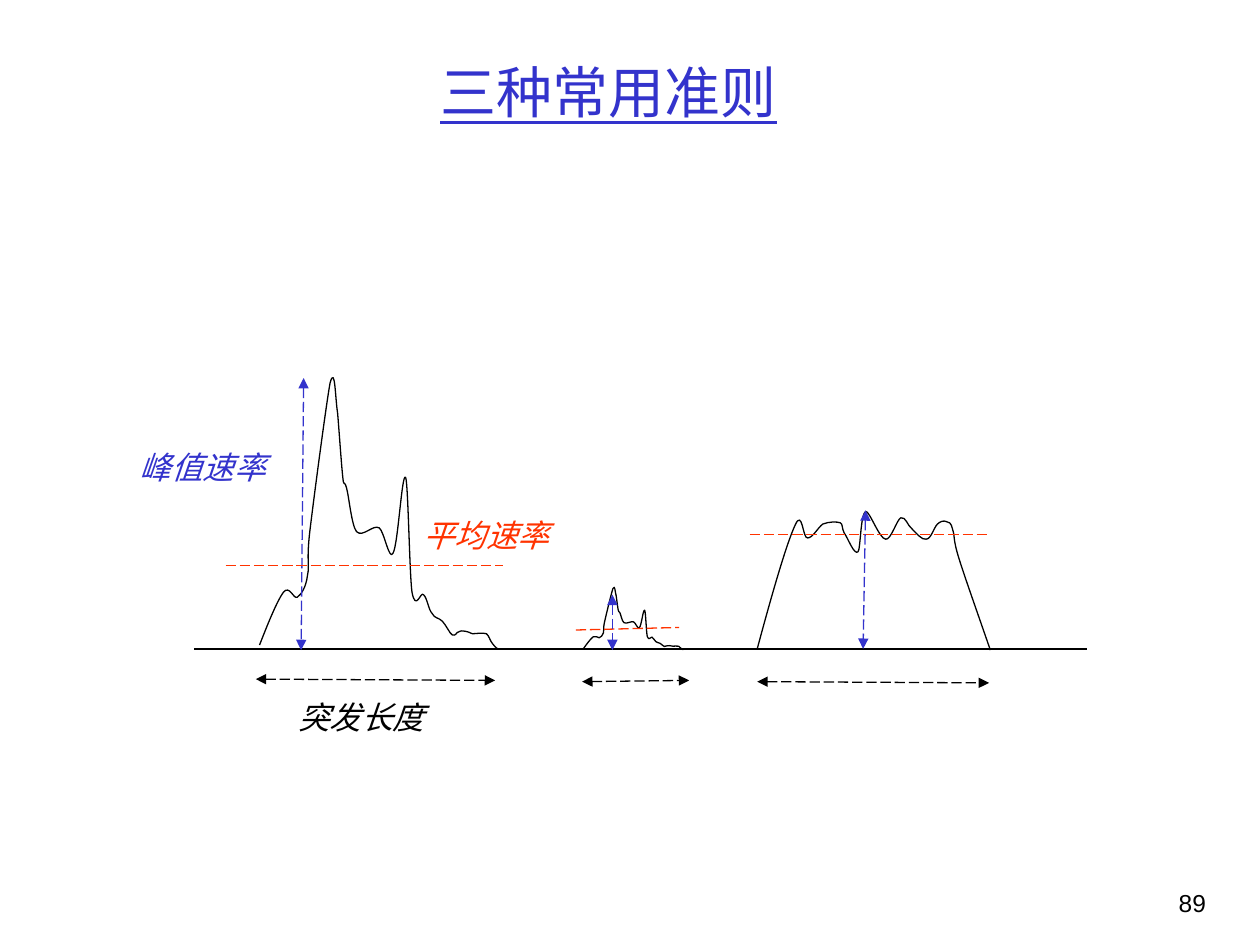
from dataclasses import dataclass

from lxml import etree
from pptx import Presentation
from pptx.dml.color import RGBColor
from pptx.enum.dml import MSO_LINE
from pptx.enum.shapes import MSO_CONNECTOR
from pptx.enum.text import MSO_ANCHOR, MSO_AUTO_SIZE, PP_ALIGN
from pptx.oxml.ns import qn
from pptx.util import Inches, Pt

LONG_DASH = MSO_LINE.LONG_DASH
STRAIGHT = MSO_CONNECTOR.STRAIGHT
MIDDLE = MSO_ANCHOR.MIDDLE
NO_FIT = MSO_AUTO_SIZE.NONE
GROW = MSO_AUTO_SIZE.SHAPE_TO_FIT_TEXT
LEFT, CENTER, RIGHT = PP_ALIGN.LEFT, PP_ALIGN.CENTER, PP_ALIGN.RIGHT
TITLE_ONLY = 5


@dataclass(frozen=True)
class Theme:
    ink: str = "000000"
    peak: str = "3333CC"
    average: str = "FF3300"
    title_font: str = "Times New Roman"
    body_font: str = "Arial"
    title_size: int = 32
    label_size: int = 18
    number_size: int = 14
    line_width: float = 0.75


class SlideBuilder:
    def __init__(self, slide, theme):
        self.slide = slide
        self.theme = theme

    def add_text(self, frame, text, size, color, font, align):
        paragraph = frame.paragraphs[0]
        paragraph.alignment = align
        run = paragraph.add_run()
        run.text = text
        run.font.name = font
        run.font.size = Pt(size)
        run.font.color.rgb = RGBColor.from_string(color)
        return run

    def title(self, text, left, top, width, height):
        holder = self.slide.shapes.title
        holder.left, holder.top = Inches(left), Inches(top)
        holder.width, holder.height = Inches(width), Inches(height)
        frame = holder.text_frame
        frame.auto_size = NO_FIT
        frame.vertical_anchor = MIDDLE
        run = self.add_text(frame, text, self.theme.title_size, self.theme.peak,
                            self.theme.title_font, CENTER)
        run.font.underline = True

    def label(self, text, left, top, color):
        box = self.slide.shapes.add_textbox(
            Inches(left), Inches(top), Inches(1.2), Inches(0.4))
        box.text_frame.word_wrap = False
        box.text_frame.auto_size = GROW
        run = self.add_text(box.text_frame, text, self.theme.label_size, color,
                            self.theme.body_font, LEFT)
        run.font.italic = True
        return box

    def page_number(self, text, left, top, width, height):
        box = self.slide.shapes.add_textbox(
            Inches(left), Inches(top), Inches(width), Inches(height))
        box.text_frame.word_wrap = True
        self.add_text(box.text_frame, text, self.theme.number_size,
                      self.theme.ink, self.theme.body_font, RIGHT)

    def stroke(self, line, color):
        line.color.rgb = RGBColor.from_string(color)
        line.width = Pt(self.theme.line_width)

    def line(self, start, end, color, dashed=True, arrows=False):
        connector = self.slide.shapes.add_connector(
            STRAIGHT, *map(Inches, start + end))
        self.stroke(connector.line, color)
        if dashed:
            connector.line.dash_style = LONG_DASH
        properties = connector._element.spPr
        if arrows:
            outline = properties.find(qn("a:ln"))
            for tag in ("a:headEnd", "a:tailEnd"):
                etree.SubElement(outline, qn(tag), type="triangle")
        etree.SubElement(properties, qn("a:effectLst"))
        return connector

    def curve(self, points):
        start, *rest = [(Inches(x), Inches(y)) for x, y in points]
        builder = self.slide.shapes.build_freeform(*start, scale=1.0)
        builder.add_line_segments(rest, close=False)
        burst = builder.convert_to_shape()
        segments = list(burst._element.iter(qn("a:lnTo")))
        for first in range(0, len(segments), 3):
            bezier = etree.Element(qn("a:cubicBezTo"))
            segments[first].addprevious(bezier)
            for segment in segments[first:first + 3]:
                bezier.append(segment[0])
                segment.getparent().remove(segment)
        burst.fill.background()
        burst.shadow.inherit = False
        self.stroke(burst.line, self.theme.ink)

    def group(self, *members):
        self.slide.shapes.add_group_shape(members)


LARGE_BURST = [
    (2.06, 5.12), (2.13, 4.94), (2.2, 4.77), (2.25, 4.7),
    (2.3, 4.64), (2.33, 4.76), (2.36, 4.74), (2.39, 4.72), (2.43, 4.66), (2.44, 4.57),
    (2.46, 4.48), (2.43, 4.46), (2.46, 4.21), (2.49, 3.96), (2.59, 3.2), (2.62, 3.04),
    (2.66, 2.89), (2.66, 3.16), (2.68, 3.28), (2.69, 3.4), (2.71, 3.69), (2.72, 3.78),
    (2.73, 3.88), (2.73, 3.8), (2.75, 3.87), (2.77, 3.94), (2.79, 4.17), (2.83, 4.22),
    (2.88, 4.27), (2.96, 4.16), (3.01, 4.19), (3.05, 4.22), (3.09, 4.46), (3.12, 4.39),
    (3.16, 4.32), (3.19, 3.74), (3.22, 3.79), (3.24, 3.85), (3.25, 4.55), (3.27, 4.7),
    (3.3, 4.86), (3.34, 4.69), (3.36, 4.72), (3.39, 4.74), (3.4, 4.84), (3.43, 4.87),
    (3.45, 4.91), (3.48, 4.9), (3.51, 4.93), (3.54, 4.96), (3.57, 5.03), (3.59, 5.04),
    (3.62, 5.05), (3.62, 5.02), (3.63, 5.02), (3.65, 5.01), (3.67, 5), (3.69, 5.01),
    (3.71, 5.01), (3.72, 5.02), (3.75, 5.03), (3.78, 5.03), (3.83, 5.02), (3.86, 5.03),
    (3.88, 5.04), (3.89, 5.09), (3.91, 5.11), (3.92, 5.13), (3.94, 5.14), (3.95, 5.15),
]
SMALL_BURST = [(4.63 + (x - 2.06) * 0.42, 5.15 + (y - 5.12) * 0.23)
               for x, y in LARGE_BURST]
LONG_BURST = [
    (6.01, 5.15), (6.12, 4.74), (6.24, 4.32), (6.31, 4.17),
    (6.37, 4.03), (6.37, 4.28), (6.41, 4.27), (6.45, 4.27), (6.49, 4.19), (6.53, 4.16),
    (6.58, 4.14), (6.64, 4.14), (6.67, 4.15), (6.69, 4.16), (6.68, 4.19), (6.7, 4.23),
    (6.73, 4.27), (6.78, 4.41), (6.81, 4.38), (6.83, 4.36), (6.83, 4.08), (6.87, 4.06),
    (6.9, 4.05), (6.98, 4.28), (7.03, 4.28), (7.07, 4.29), (7.12, 4.12), (7.15, 4.11),
    (7.19, 4.1), (7.2, 4.17), (7.24, 4.2), (7.27, 4.23), (7.32, 4.29), (7.35, 4.28),
    (7.39, 4.28), (7.41, 4.19), (7.44, 4.16), (7.46, 4.14), (7.49, 4.13), (7.51, 4.14),
    (7.53, 4.14), (7.55, 4.15), (7.56, 4.2), (7.58, 4.25), (7.56, 4.27), (7.61, 4.43),
    (7.66, 4.59), (7.76, 4.87), (7.86, 5.16),
]


def main():
    theme = Theme()
    deck = Presentation()
    deck.slide_width, deck.slide_height = Inches(10), Inches(7.5)
    page = SlideBuilder(deck.slides.add_slide(deck.slide_layouts[TITLE_ONLY]), theme)

    page.title("三种常用准则", 0.58, 0.25, 8.5, 0.95)
    page.line((1.54, 5.15), (8.63, 5.15), theme.ink, dashed=False)
    for burst in (LARGE_BURST, SMALL_BURST, LONG_BURST):
        page.curve(burst)

    page.line((5.95, 4.24), (7.83, 4.24), theme.average)
    page.line((4.57, 5), (5.39, 4.98), theme.average)
    page.line((6.87, 4.05), (6.85, 5.15), theme.peak, arrows=True)
    page.line((6.01, 5.41), (7.85, 5.42), theme.ink, arrows=True)
    page.line((4.62, 5.41), (5.47, 5.4), theme.ink, arrows=True)

    page.group(page.line((2.03, 5.39), (3.93, 5.4), theme.ink, arrows=True),
               page.label("突发长度", 2.27, 5.49, theme.ink))
    page.group(page.line((2.41, 3), (2.39, 5.16), theme.peak, arrows=True),
               page.label("峰值速率", 1.01, 3.51, theme.peak))
    page.group(page.line((1.79, 4.49), (3.99, 4.49), theme.average),
               page.label("平均速率", 3.26, 4.05, theme.average))

    page.line((4.86, 4.72), (4.86, 5.16), theme.peak, arrows=True)
    page.page_number("89", 8.93, 7, 0.74, 0.5)
    deck.save("out.pptx")


if __name__ == "__main__":
    main()
